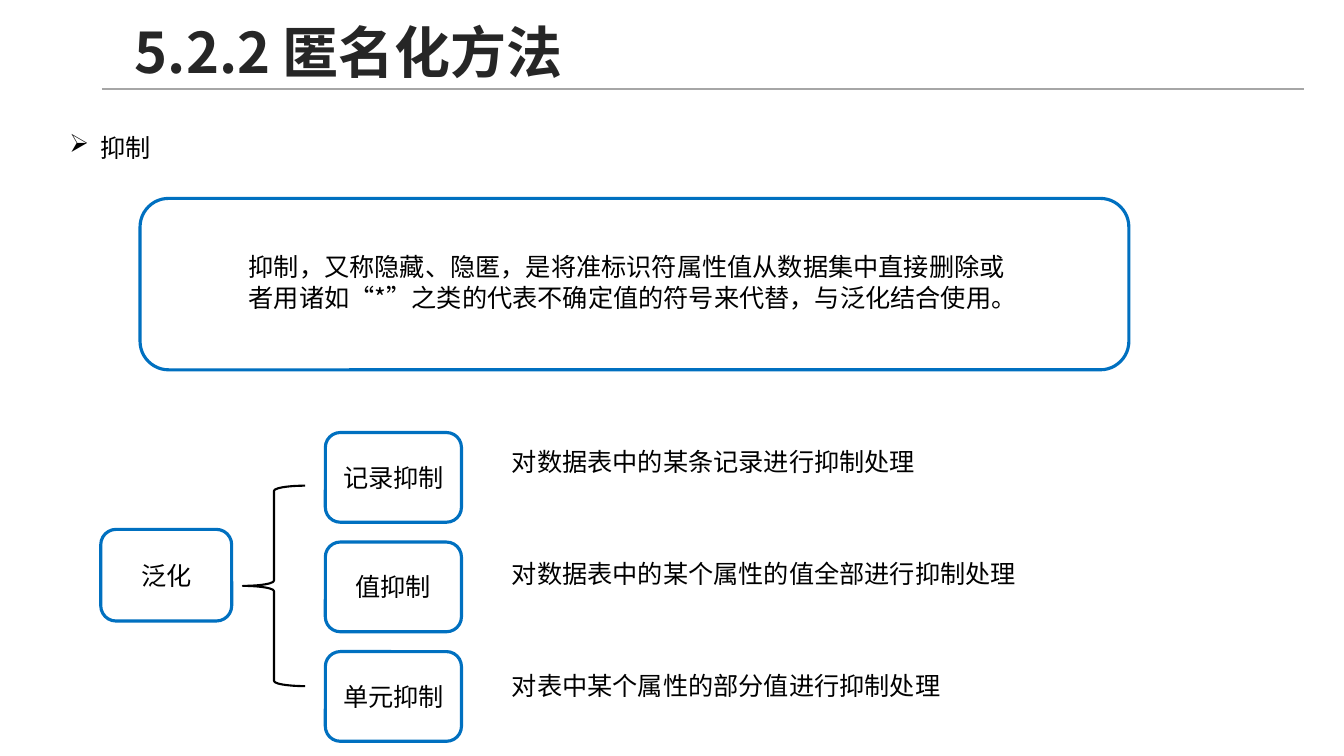
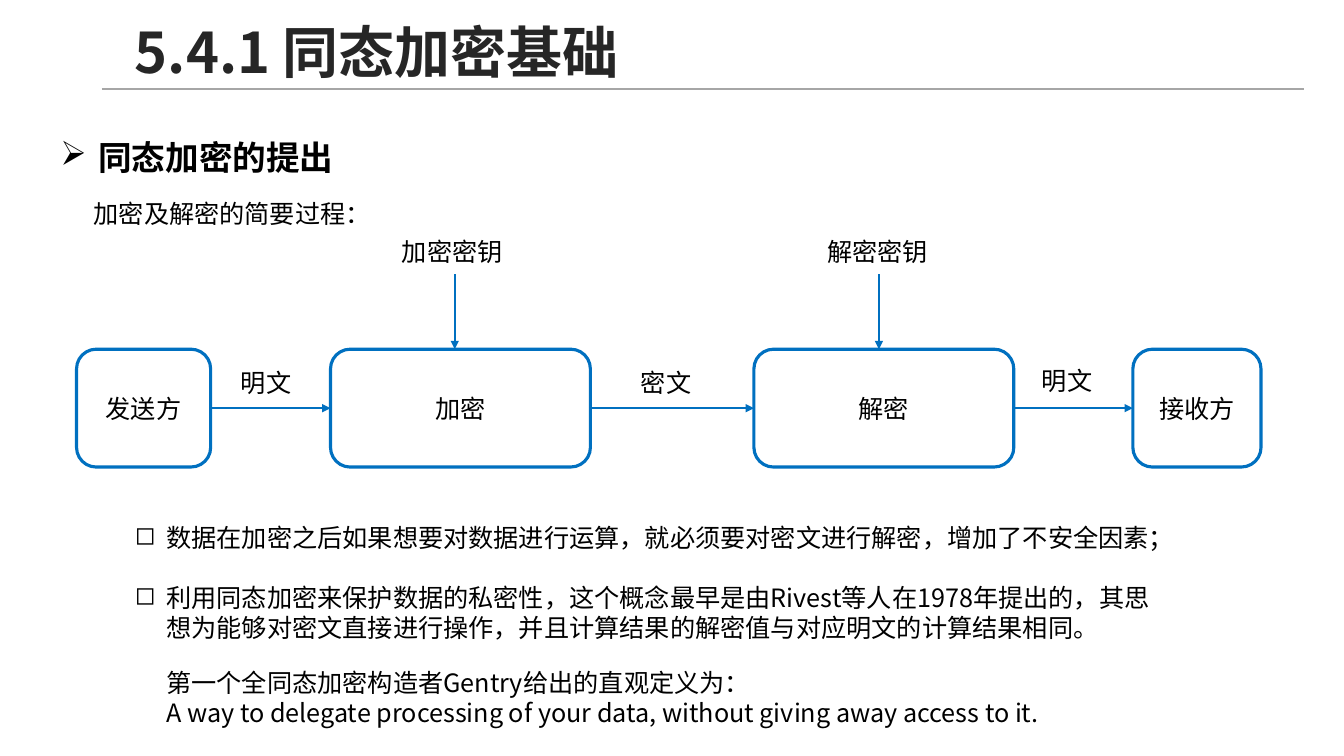
from dataclasses import dataclass

from lxml.etree import SubElement
from pptx import Presentation
from pptx.dml.color import RGBColor
from pptx.enum.lang import MSO_LANGUAGE_ID as Lang
from pptx.enum.shapes import MSO_CONNECTOR as Connector, MSO_SHAPE as Preset
from pptx.enum.text import MSO_ANCHOR as Anchor, MSO_AUTO_SIZE as AutoSize, PP_ALIGN as Align
from pptx.oxml.ns import qn
from pptx.util import Cm, Pt

FONT = "Noto Sans CJK SC"
BLACK, WHITE, BLUE = "000000", "FFFFFF", "0070C0"
TITLE_COLOR, RULE_COLOR = "262626", "A6A6A6"
LINE_HEIGHT = 1.02  # height in cm of a one-line text box
TOP, LEFT, BOTTOM, RIGHT = range(4)  # connection sites


@dataclass(frozen=True)
class Area:
    """A rectangle in centimetres."""
    left: float
    top: float
    width: float
    height: float = LINE_HEIGHT

    def lengths(self):
        return Cm(self.left), Cm(self.top), Cm(self.width), Cm(self.height)


@dataclass(frozen=True)
class Style:
    size: float = 18
    bold: bool = False
    color: str = BLACK
    spacing: float = 1.0
    space_after: float = 0
    bullet: str = ""
    indent: float = 0.79


@dataclass(frozen=True)
class Label:
    text: str
    area: Area


PLAIN = Style()
TITLE = Style(size=40, bold=True, color=TITLE_COLOR, spacing=0.9)


def rgb(color: str) -> RGBColor:
    return RGBColor.from_string(color)


# Text
def write_para(para, text: str, style: Style) -> None:
    para.line_spacing = style.spacing
    para.space_after = Pt(style.space_after)
    if style.bullet:
        props = para._p.get_or_add_pPr()
        props.set("marL", str(Cm(style.indent)))
        props.set("indent", str(-Cm(style.indent)))
        SubElement(props, qn("a:buChar")).set("char", style.bullet)
    span = para.add_run()
    span.text = text
    font = span.font
    font.name, font.size, font.bold = FONT, Pt(style.size), style.bold
    font.color.rgb = rgb(style.color)
    font.language_id = Lang.SIMPLIFIED_CHINESE
    SubElement(span._r.get_or_add_rPr(), qn("a:ea")).set("typeface", FONT)


def add_text(page, area: Area, *lines: str, style: Style = PLAIN, anchor=Anchor.TOP):
    box = page.shapes.add_textbox(*area.lengths())
    frame = box.text_frame
    frame.word_wrap = True
    frame.vertical_anchor = anchor
    if anchor == Anchor.TOP:
        frame.auto_size = AutoSize.SHAPE_TO_FIT_TEXT
    for index, line in enumerate(lines):
        para = frame.add_paragraph() if index else frame.paragraphs[0]
        write_para(para, line, style)
    return box


# Shapes and lines
def add_box(page, area: Area, text: str = ""):
    box = page.shapes.add_shape(Preset.ROUNDED_RECTANGLE, *area.lengths())
    box.shadow.inherit = False
    box.fill.solid()
    box.fill.fore_color.rgb = rgb(WHITE)
    box.line.color.rgb = rgb(BLUE)
    box.line.width = Pt(2.25)
    if text:
        box.text_frame.word_wrap = True
        box.text_frame.vertical_anchor = Anchor.MIDDLE
        para = box.text_frame.paragraphs[0]
        para.alignment = Align.CENTER
        write_para(para, text, PLAIN)
    return box


def add_brace(page, area: Area) -> None:
    brace = page.shapes.add_shape(Preset.LEFT_BRACE, *area.lengths())
    brace.shadow.inherit = False
    brace.fill.background()
    brace.line.color.rgb = rgb(BLACK)
    brace.line.width = Pt(1.5)


def add_line(page, start: tuple[float, float], end: tuple[float, float],
             color: str, width: float, arrow: bool = False):
    line = page.shapes.add_connector(
        Connector.STRAIGHT, *(Cm(value) for value in start + end))
    line.line.color.rgb = rgb(color)
    line.line.width = Pt(width)
    if arrow:
        SubElement(line.line._get_or_add_ln(), qn("a:tailEnd")).set("type", "triangle")
    SubElement(line._element.spPr, qn("a:effectLst"))
    return line


def join_boxes(page, source, target) -> None:
    arrow = add_line(page, (0, 0), (0, 0), BLUE, 1.5, arrow=True)
    arrow.begin_connect(source, RIGHT)
    arrow.end_connect(target, LEFT)


# Shared page frame
def add_page(deck, title: str):
    page = deck.slides.add_slide(deck.slide_layouts[6])
    add_line(page, (2.57, 2.24), (32.87, 2.24), RULE_COLOR, 1)
    add_text(page, Area(3.15, 0.38, 29.49, 2.01), title, style=TITLE, anchor=Anchor.MIDDLE)
    return page


def build_suppression(deck) -> None:
    page = add_page(deck, "5.2.2 匿名化方法")
    add_text(page, Area(1.5, 3.2, 21.16), "抑制", style=Style(bullet="➢"))

    # Definition
    add_box(page, Area(3.53, 5, 24.92, 4.32))
    add_text(page, Area(6.02, 6.22, 19.94, 1.8),
             "抑制，又称隐藏、隐匿，是将准标识符属性值从数据集中直接删除或"
             "者用诸如“*”之类的代表不确定值的符号来代替，与泛化结合使用。")

    # Kinds of suppression
    add_box(page, Area(2.54, 13.34, 3.3, 2.31), "泛化")
    add_brace(page, Area(6.12, 12.24, 1.57, 5.05))
    kinds = (
        ("记录抑制", "对数据表中的某条记录进行抑制处理"),
        ("值抑制", "对数据表中的某个属性的值全部进行抑制处理"),
        ("单元抑制", "对表中某个属性的部分值进行抑制处理"),
    )
    for row, (name, meaning) in enumerate(kinds):
        add_box(page, Area(8.2, 10.9 + 2.76 * row, 3.43, 2.26), name)
        add_text(page, Area(12.65, 11.13 + 2.82 * row, 14.7), meaning)


def build_encryption(deck) -> None:
    page = add_page(deck, "5.4.1 同态加密基础")
    add_text(page, Area(1.27, 2.82, 12.24, 1.63), "同态加密的提出",
             style=Style(size=24, bold=True, spacing=1.5, bullet="➢", indent=0.96))
    add_text(page, Area(2.11, 4.88, 7.8), "加密及解密的简要过程：")

    # Process chain
    chain_top, chain_height = 8.8, 2.97
    steps = (
        Label("发送方", Area(1.93, chain_top, 3.38, chain_height)),
        Label("加密", Area(8.33, chain_top, 6.55, chain_height)),
        Label("解密", Area(19, chain_top, 6.55, chain_height)),
        Label("接收方", Area(28.55, chain_top, 3.23, chain_height)),
    )
    boxes = [add_box(page, step.area, step.text) for step in steps]
    for source, target in zip(boxes, boxes[1:]):
        join_boxes(page, source, target)

    # Messages and keys
    labels = (
        Label("明文", Area(5.82, 9.14, 2.03)),
        Label("密文", Area(15.9, 9.14, 2.03)),
        Label("明文", Area(26.01, 9.07, 2.03)),
        Label("加密密钥", Area(9.88, 5.84, 3.43)),
        Label("解密密钥", Area(20.6, 5.84, 3.43)),
    )
    for label in labels:
        add_text(page, label.area, label.text)
    for key_x in (11.46, 22.15):
        add_line(page, (key_x, 6.91), (key_x, chain_top), BLUE, 1.5, arrow=True)

    # Remarks
    add_text(page, Area(3.15, 13.03, 26.37, 3.33),
             "数据在加密之后如果想要对数据进行运算，就必须要对密文进行解密，增加了不安全因素；",
             "利用同态加密来保护数据的私密性，这个概念最早是由Rivest等人在1978年提出的，其"
             "思想为能够对密文直接进行操作，并且计算结果的解密值与对应明文的计算结果相同。",
             style=Style(bullet="◻", space_after=21.6))
    add_text(page, Area(3.94, 16.69, 26.9, 1.8),
             "第一个全同态加密构造者Gentry给出的直观定义为：",
             "A way to delegate processing of your data, without giving away access to it.")


def main() -> None:
    deck = Presentation()
    deck.slide_width, deck.slide_height = Cm(33.87), Cm(19.05)
    build_suppression(deck)
    build_encryption(deck)
    deck.save("out.pptx")


if __name__ == "__main__":
    main()
